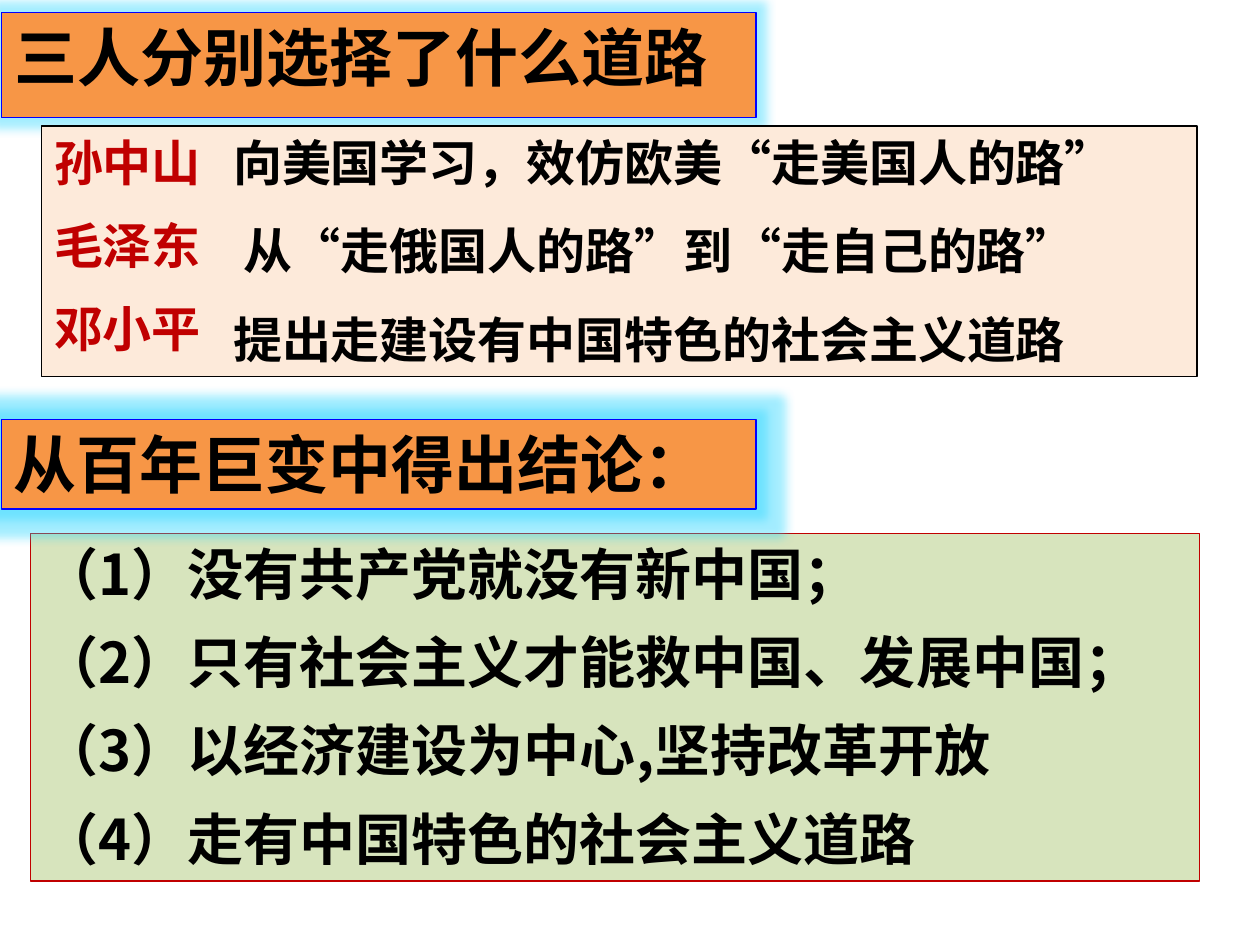
import pptx
import pptx.util
import pptx.dml.color
import pptx.enum.shapes
import pptx.enum.text
import pptx.oxml
import pptx.oxml.ns
from pptx.util import Cm, Pt

RGBColor = pptx.dml.color.RGBColor
BLACK = RGBColor(0x00, 0x00, 0x00)
RED = RGBColor(0xC0, 0x00, 0x00)
BLUE = RGBColor(0x00, 0x00, 0xFF)
ORANGE = RGBColor(0xF7, 0x96, 0x46)
PEACH = RGBColor(0xFD, 0xEA, 0xDA)
GREEN = RGBColor(0xD7, 0xE4, 0xBD)
GLOW = RGBColor(0x1D, 0xD4, 0xFF)
FONT = "Noto Sans CJK SC"


def write(shape, lines, size, color, before=0, after=0):
    frame = shape.text_frame
    frame.word_wrap = True
    frame.auto_size = pptx.enum.text.MSO_AUTO_SIZE.SHAPE_TO_FIT_TEXT
    frame.vertical_anchor = pptx.enum.text.MSO_ANCHOR.TOP
    frame.text = "\n".join(lines)
    for index, para in enumerate(frame.paragraphs):
        para.alignment = pptx.enum.text.PP_ALIGN.LEFT
        para.space_before = Pt(before if index else 0)
        para.space_after = Pt(after)
        para.font.name = FONT
        para.font.size = Pt(size)
        para.font.bold = True
        para.font.color.rgb = color
        for span in para.runs:
            east_asian = pptx.oxml.parse_xml(
                f'<a:ea {pptx.oxml.ns.nsdecls("a")} typeface="{FONT}"/>')
            span.font._element.append(east_asian)


def paint(shape, fill, line):
    shape.shadow.inherit = False
    shape.fill.solid()
    shape.fill.fore_color.rgb = fill
    shape.line.color.rgb = line
    shape.line.width = Pt(0.75)


deck = pptx.Presentation()
deck.slide_width, deck.slide_height = Cm(25.4), Cm(19.05)
page = deck.slides.add_slide(deck.slide_layouts[5])
shapes = page.shapes
rectangle = pptx.enum.shapes.MSO_SHAPE.RECTANGLE

conclusions = shapes.add_shape(rectangle, Cm(0.61), Cm(10.75), Cm(23.57), Cm(7.01))
paint(conclusions, GREEN, RED)
write(conclusions, [
    "（1）没有共产党就没有新中国；",
    "（2）只有社会主义才能救中国、发展中国；",
    "（3）以经济建设为中心,坚持改革开放",
    "（4）走有中国特色的社会主义道路",
], 32, BLACK, before=6, after=6)

leaders = shapes.add_shape(rectangle, Cm(0.84), Cm(2.54), Cm(23.29), Cm(5.05))
paint(leaders, PEACH, BLACK)
write(leaders, ["孙中山", "毛泽东", "邓小平"], 28, RED, before=14)

roads = [
    (4.45, "向美国学习，效仿欧美“走美国人的路”"),
    (4.65, "从“走俄国人的路”到“走自己的路”"),
    (4.45, "提出走建设有中国特色的社会主义道路"),
]
for row, (left, road) in enumerate(roads):
    box = shapes.add_textbox(Cm(left), Cm(2.54 + 1.79 * row), Cm(24.18 - left), Cm(1.45))
    write(box, [road], 28, BLACK)

conclusion_heading = shapes.add_shape(rectangle, 0, 0, 0, 0)
headings = [
    (shapes.title, 0.25, "三人分别选择了什么道路"),
    (conclusion_heading, 8.46, "从百年巨变中得出结论："),
]
for heading, top, wording in headings:
    heading.left, heading.top = Cm(0.03), Cm(top)
    heading.width, heading.height = Cm(15.21), Cm(1.8)
    paint(heading, ORANGE, BLUE)
    write(heading, [wording], 36, BLACK)
    effects = heading._element.spPr.find(pptx.oxml.ns.qn("a:effectLst"))
    effects.append(pptx.oxml.parse_xml(
        f'<a:glow {pptx.oxml.ns.nsdecls("a")} rad="{Pt(11)}">'
        f'<a:srgbClr val="{GLOW}"><a:alpha val="40000"/></a:srgbClr></a:glow>'))

deck.save("out.pptx")
